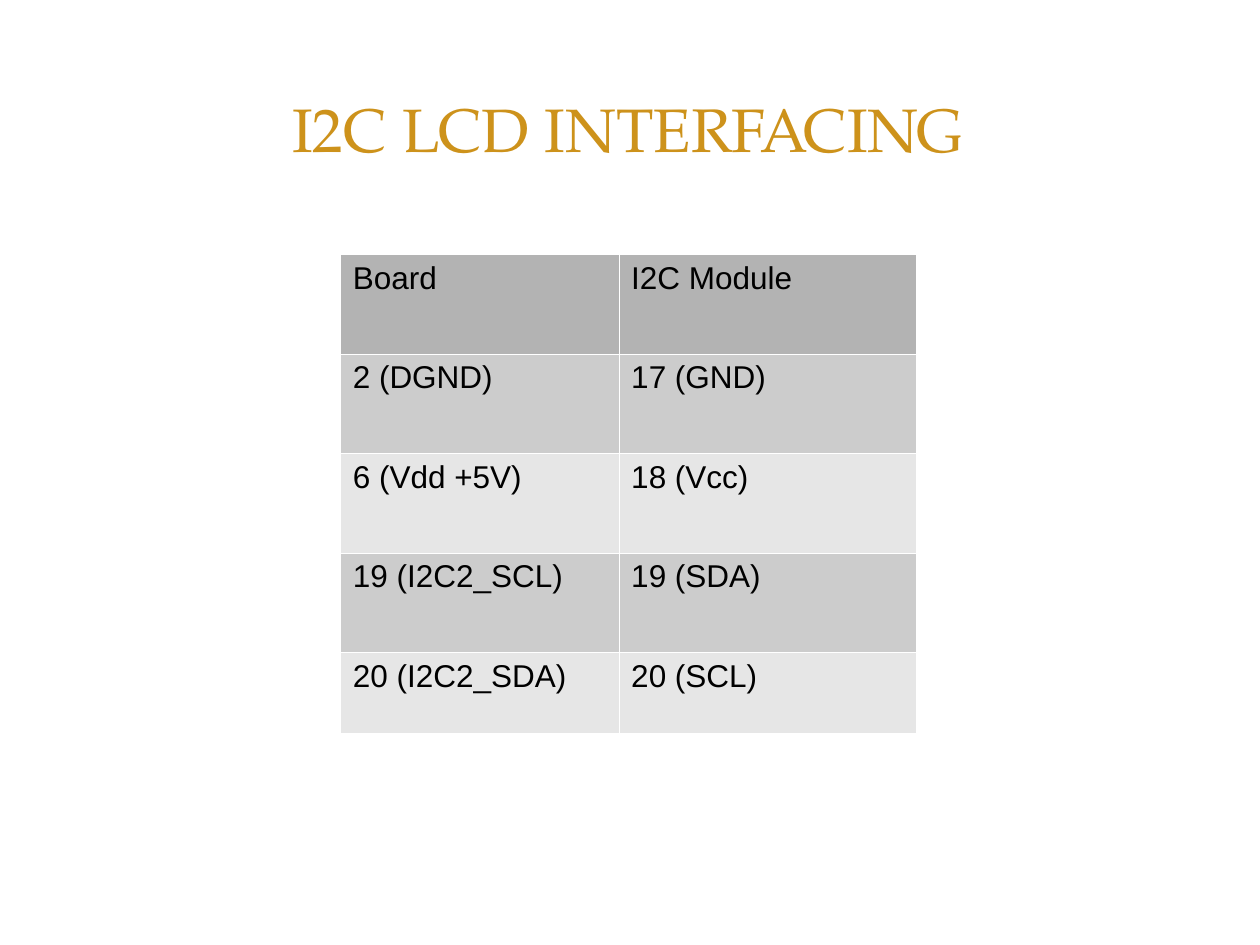
from lxml import etree
from pptx import Presentation
from pptx.dml.color import RGBColor
from pptx.enum.text import MSO_ANCHOR, PP_ALIGN
from pptx.oxml.ns import qn
from pptx.util import Inches, Pt

LEFT, CENTER = PP_ALIGN.LEFT, PP_ALIGN.CENTER
MIDDLE = MSO_ANCHOR.MIDDLE

GOLD = RGBColor(0xCD, 0x92, 0x1B)
BLACK = RGBColor(0, 0, 0)
WHITE = RGBColor(0xFF, 0xFF, 0xFF)
HEAD = RGBColor(0xB3, 0xB3, 0xB3)
BANDS = [RGBColor(0xCC, 0xCC, 0xCC), RGBColor(0xE6, 0xE6, 0xE6)]

PINS = [
    ("Board", "I2C Module"),
    ("2 (DGND)", "17 (GND)"),
    ("6 (Vdd +5V)", "18 (Vcc)"),
    ("19 (I2C2_SCL)", "19 (SDA)"),
    ("20 (I2C2_SDA)", "20 (SCL)"),
]
WIDTHS = [2.21, 2.36]
HEIGHTS = [0.79] * 4 + [0.64]


def write(frame, text, font="Arial", size=18, color=BLACK, align=LEFT):
    para = frame.paragraphs[0]
    para.alignment = align
    run = para.add_run()
    run.text = text
    run.font.name = font
    run.font.size = Pt(size)
    run.font.color.rgb = color


def add_title(slide, text):
    box = slide.shapes.add_textbox(
        Inches(0.47), Inches(0.45), Inches(9.03), Inches(1.14))
    frame = box.text_frame
    frame.word_wrap = True
    frame.vertical_anchor = MIDDLE
    write(frame, text, font="TeX Gyre Pagella", size=35, color=GOLD,
          align=CENTER)


def paint(cell, color):
    # Borders must come before the fill in the cell's properties
    props = cell._tc.get_or_add_tcPr()
    for side in ("lnL", "lnR", "lnT", "lnB"):
        line = etree.SubElement(props, qn("a:" + side), w=str(Pt(0.06)))
        fill = etree.SubElement(line, qn("a:solidFill"))
        etree.SubElement(fill, qn("a:srgbClr"), val=str(WHITE))
    cell.fill.solid()
    cell.fill.fore_color.rgb = color


def add_grid(slide, data):
    table = slide.shapes.add_table(
        len(data), len(WIDTHS), Inches(2.7), Inches(2.02),
        Inches(sum(WIDTHS)), Inches(sum(HEIGHTS))).table
    for col, width in zip(table.columns, WIDTHS):
        col.width = Inches(width)
    for num, (row, height) in enumerate(zip(table.rows, HEIGHTS)):
        row.height = Inches(height)
        color = BANDS[(num - 1) % 2] if num else HEAD
        for cell, text in zip(row.cells, data[num]):
            paint(cell, color)
            write(cell.text_frame, text)
    # Keep the header text at normal weight
    table.first_row = False
    table.horz_banding = False


def main():
    deck = Presentation()
    deck.slide_width, deck.slide_height = Inches(10), Inches(7.5)
    slide = deck.slides.add_slide(deck.slide_layouts[6])
    add_title(slide, "I2C LCD INTERFACING")
    add_grid(slide, PINS)
    deck.save("out.pptx")


main()
